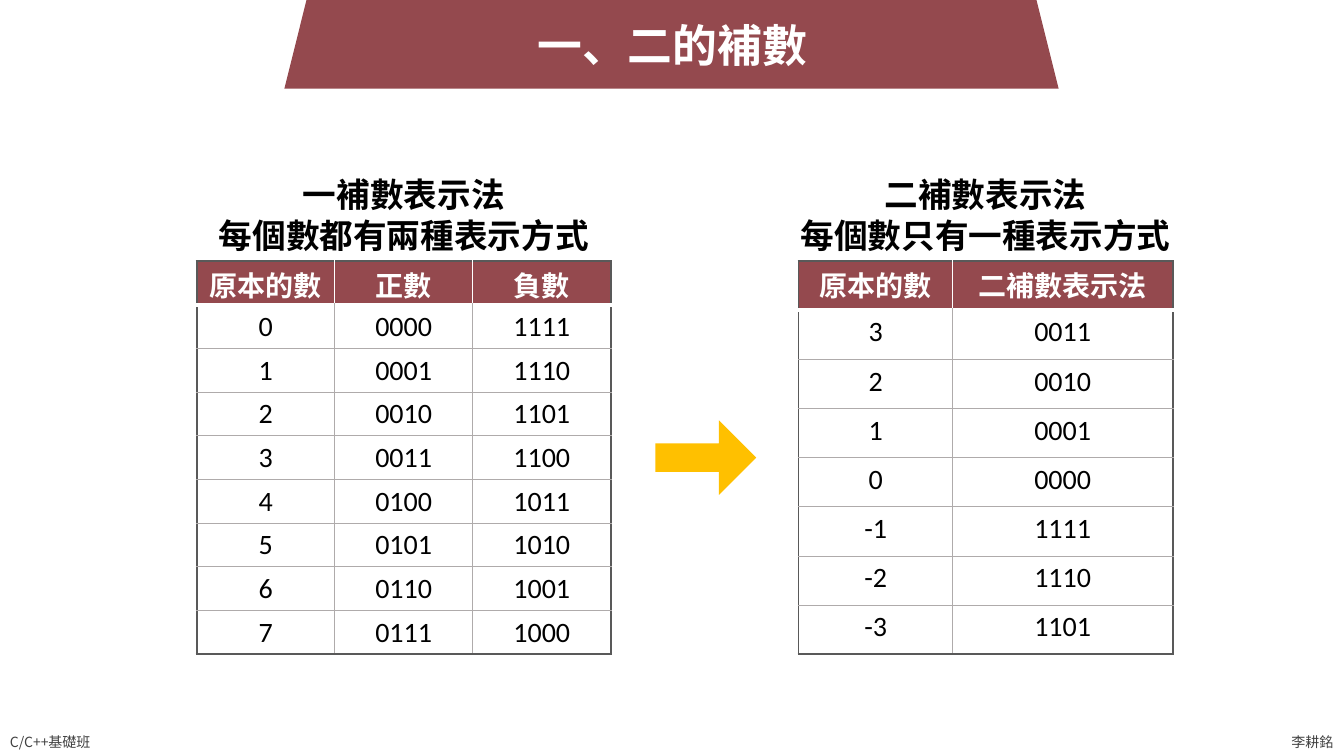
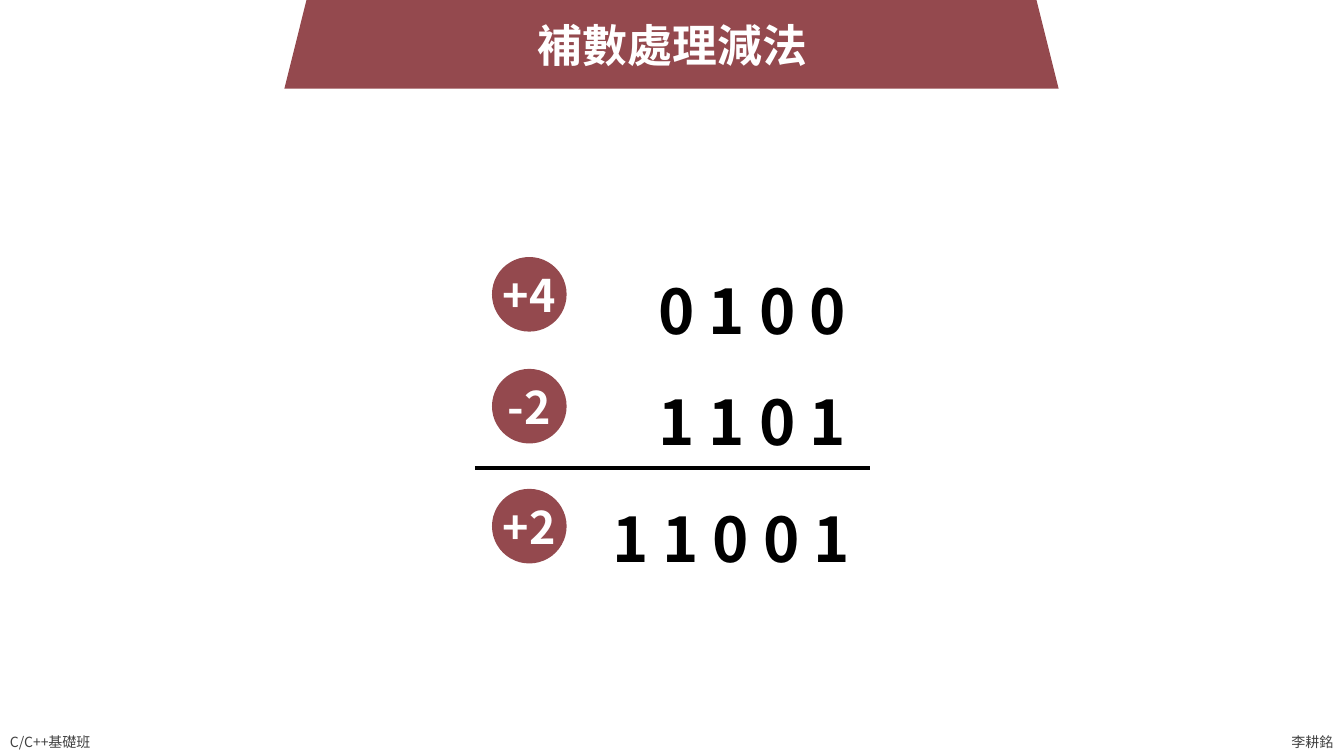
import lxml.etree
import pptx
import pptx.dml.color
import pptx.enum.shapes
import pptx.enum.text
import pptx.oxml.ns
import pptx.util

Inches = pptx.util.Inches
Shape = pptx.enum.shapes.MSO_SHAPE
Align = pptx.enum.text.PP_ALIGN
Anchor = pptx.enum.text.MSO_ANCHOR
qn = pptx.oxml.ns.qn

MAROON = "94494E"
AMBER = "FFC000"
WHITE = "FFFFFF"
BLACK = "000000"
FOOTER_GRAY = "404040"
OUTER_LINE = ("595959", 1.5)
INNER_LINE = ("AFABAB", 0.5)
HEADER_DIVIDER = (WHITE, 1)
HEADER_BOTTOM = (WHITE, 3)
FONT = "Noto Sans CJK TC"
TABLE_FONT = "Calibri"

TABLE_TOP = 2.59
TABLE_HEIGHT = 3.9
CAPTION_WIDTH = 4.12


def color(hex_string):
    return pptx.dml.color.RGBColor.from_string(hex_string)


def format_paragraph(paragraph, size, hex_string, bold=False, align=Align.LEFT,
                     font_name=FONT, line_spacing=None):
    paragraph.alignment = align
    if line_spacing:
        paragraph.line_spacing = line_spacing
    font = paragraph.font
    font.size = pptx.util.Pt(size)
    font.bold = bold
    font.name = font_name
    font.color.rgb = color(hex_string)
    properties = paragraph._p.get_or_add_pPr().get_or_add_defRPr()
    lxml.etree.SubElement(properties, qn("a:ea"), typeface=FONT)


def write_lines(text_frame, lines, size, hex_string, **style):
    """Fill a text frame with one equally formatted paragraph per line."""
    text_frame.text = "\n".join(lines)
    for paragraph in text_frame.paragraphs:
        format_paragraph(paragraph, size, hex_string, **style)


def add_text(slide, left, top, width, height, lines, size, hex_string,
             wrap=False, anchor=Anchor.TOP, **style):
    box = slide.shapes.add_textbox(Inches(left), Inches(top), Inches(width), Inches(height))
    box.text_frame.word_wrap = wrap
    box.text_frame.vertical_anchor = anchor
    write_lines(box.text_frame, lines, size, hex_string, **style)


def add_filled_shape(slide, kind, left, top, width, height, hex_string):
    shape = slide.shapes.add_shape(kind, Inches(left), Inches(top), Inches(width), Inches(height))
    shape.shadow.inherit = False
    shape.fill.solid()
    shape.fill.fore_color.rgb = color(hex_string)
    shape.line.fill.background()
    return shape


def center_without_margins(text_frame):
    text_frame.word_wrap = False
    text_frame.vertical_anchor = Anchor.MIDDLE
    text_frame.margin_left = text_frame.margin_right = 0
    text_frame.margin_top = text_frame.margin_bottom = 0


def add_titled_slide(presentation, title_text):
    """Add a slide with the footers, the title band and the title."""
    slide = presentation.slides.add_slide(presentation.slide_layouts[5])
    add_text(slide, 0, 7.23, 1.07, 0.27, ["C/C++基礎班"], 10, FOOTER_GRAY)
    add_text(slide, 12.71, 7.23, 0.62, 0.27, ["李耕銘"], 10, FOOTER_GRAY, anchor=Anchor.MIDDLE)
    add_filled_shape(slide, Shape.TRAPEZOID, 2.82, -0.34, 7.68, 1.22, MAROON)

    title = slide.shapes.title
    title.left, title.top = Inches(3.67), Inches(0.12)
    title.width, title.height = Inches(6), Inches(0.64)
    center_without_margins(title.text_frame)
    write_lines(title.text_frame, [title_text], 32, WHITE, bold=True, align=Align.CENTER)
    slide.shapes._spTree.append(title._element)  # in front of the band
    return slide


def set_cell_borders(cell, borders):
    """Draw the borders, given as (colour, points) for left, right, top and bottom."""
    properties = cell._tc.get_or_add_tcPr()
    for side, (hex_string, points) in zip("LRTB", borders):
        line = lxml.etree.SubElement(properties, qn(f"a:ln{side}"), w=str(pptx.util.Pt(points)))
        fill = lxml.etree.SubElement(line, qn("a:solidFill"))
        lxml.etree.SubElement(fill, qn("a:srgbClr"), val=hex_string)


def format_cell(cell, text, row, column, row_count, column_count):
    is_header = row == 0
    divider = HEADER_DIVIDER if is_header else INNER_LINE
    set_cell_borders(cell, (
        OUTER_LINE if column == 0 else divider,
        OUTER_LINE if column == column_count - 1 else divider,
        {0: OUTER_LINE, 1: HEADER_BOTTOM}.get(row, INNER_LINE),
        {0: HEADER_BOTTOM, row_count - 1: OUTER_LINE}.get(row, INNER_LINE),
    ))
    if is_header:
        cell.fill.solid()
        cell.fill.fore_color.rgb = color(MAROON)
    else:
        cell.fill.background()
    cell.margin_top = Inches(0.03 if is_header else 0.05)
    cell.margin_bottom = 0
    write_lines(cell.text_frame, [text], 20, WHITE if is_header else BLACK,
                bold=is_header, align=Align.CENTER, font_name=TABLE_FONT)


def add_captioned_table(slide, left, column_widths, caption, rows):
    width = sum(column_widths)
    table = slide.shapes.add_table(len(rows), len(column_widths), Inches(left), Inches(TABLE_TOP),
                                   Inches(width), Inches(TABLE_HEIGHT)).table
    table.horz_banding = False
    for column, column_width in zip(table.columns, column_widths):
        column.width = Inches(column_width)
    for row, texts in enumerate(rows):
        for column, text in enumerate(texts):
            format_cell(table.cell(row, column), text, row, column, len(rows), len(texts))
    add_text(slide, left + (width - CAPTION_WIDTH) / 2, 1.68, CAPTION_WIDTH, 0.91, caption,
             24, BLACK, wrap=True, bold=True, align=Align.CENTER)


def add_number_circle(slide, top, text):
    circle = add_filled_shape(slide, Shape.OVAL, 4.88, top, 0.74, 0.74, MAROON)
    center_without_margins(circle.text_frame)
    write_lines(circle.text_frame, [text], 32, WHITE, bold=True, align=Align.CENTER)


def add_binary_digits(slide, left, top, width, height, lines):
    add_text(slide, left, top, width, height, lines, 44, BLACK,
             bold=True, align=Align.RIGHT, line_spacing=1.5)


def add_sum_line(slide, left, right, y):
    line = slide.shapes.add_connector(pptx.enum.shapes.MSO_CONNECTOR.STRAIGHT,
                                      Inches(left), Inches(y), Inches(right), Inches(y))
    line.line.color.rgb = color(BLACK)
    line.line.width = pptx.util.Pt(3)
    lxml.etree.SubElement(line._element.spPr, qn("a:effectLst"))


def build_complement_slide(presentation):
    slide = add_titled_slide(presentation, "一、二的補數")
    ones_rows = [(str(n), f"{n:04b}", f"{15 - n:04b}") for n in range(8)]
    add_captioned_table(slide, 1.95, [1.37, 1.37, 1.37],
                        ["一補數表示法", "每個數都有兩種表示方式"],
                        [("原本的數", "正數", "負數")] + ones_rows)
    twos_rows = [(str(n), f"{n % 16:04b}") for n in range(3, -4, -1)]
    add_captioned_table(slide, 7.92, [1.53, 2.18],
                        ["二補數表示法", "每個數只有一種表示方式"],
                        [("原本的數", "二補數表示法")] + twos_rows)
    arrow = add_filled_shape(slide, Shape.RIGHT_ARROW, 6.5, 4.17, 1, 0.74, AMBER)
    arrow.adjustments[0] = 0.38


def build_subtraction_slide(presentation):
    slide = add_titled_slide(presentation, "補數處理減法")
    add_binary_digits(slide, 6.35, 2.29, 2.14, 2.19, ["0 1 0 0", "1 1 0 1"])
    add_binary_digits(slide, 5.87, 4.55, 2.66, 1.08, ["1 1 0 0 1"])
    add_sum_line(slide, 4.71, 8.63, 4.64)
    for top, text in ((2.55, "+4"), (3.66, "-2"), (4.85, "+2")):
        add_number_circle(slide, top, text)


def main():
    presentation = pptx.Presentation()
    presentation.slide_width = Inches(13.33)
    presentation.slide_height = Inches(7.5)
    build_complement_slide(presentation)
    build_subtraction_slide(presentation)
    presentation.save("out.pptx")


if __name__ == "__main__":
    main()
